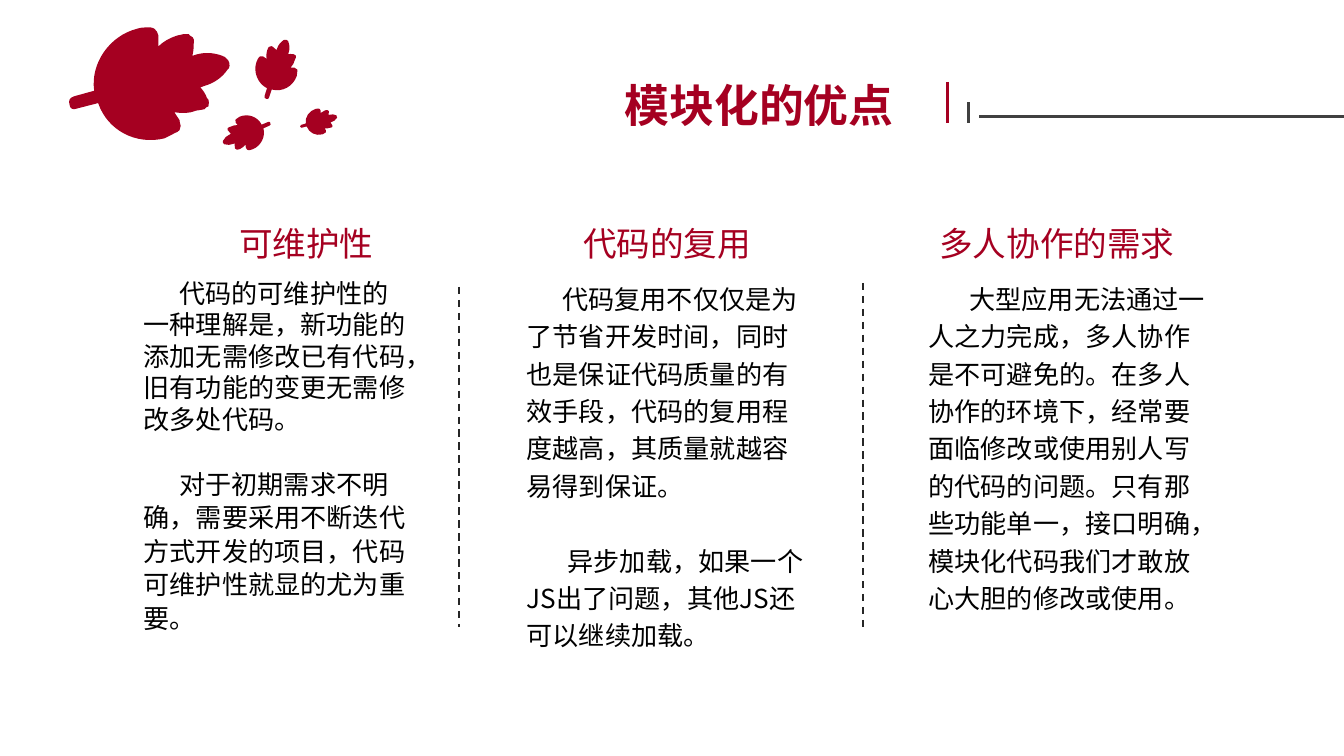
import math
from dataclasses import dataclass

import lxml.etree
import pptx
import pptx.dml.color
import pptx.enum.dml
import pptx.enum.shapes
import pptx.enum.text
import pptx.oxml.ns
import pptx.util

RED = pptx.dml.color.RGBColor(0xA5, 0x00, 0x21)
GREY = pptx.dml.color.RGBColor(0x40, 0x40, 0x40)
DARK = pptx.dml.color.RGBColor(0x26, 0x26, 0x26)
BLACK = pptx.dml.color.RGBColor(0x00, 0x00, 0x00)

FONT = "Noto Sans CJK SC"
SLIDE_WIDTH = pptx.util.Inches(10)
SLIDE_HEIGHT = SLIDE_WIDTH * 9 // 16
CELL = SLIDE_WIDTH / 100
LINE_RATIO = 1.2
BODY_SIZE = 14

LEAF_CENTRE = (113, 62)
LEAF_TILT = 30.7
LEAF_DETAIL = 1000
LEAF_START = (72, 67)
LEAF_SEGMENTS = (
    (57, 71), (54, 72, 53, 74, 54, 77), (54, 80, 57, 81, 59, 80),
    (75, 76), (82, 96, 103, 107, 124, 102), (126, 101, 128, 100, 130, 99),
    (132, 98), (133, 98, 134, 97, 135, 96), (136, 94, 136, 92, 135, 90),
    (135, 89), (133, 87, 133, 85, 131, 83), (137, 84, 142, 84, 147, 82),
    (149, 82, 151, 81, 153, 81), (154, 80), (154, 80, 155, 79, 156, 79),
    (157, 77, 156, 75, 156, 74), (155, 73), (154, 70, 152, 67, 150, 65),
    (151, 65, 152, 64, 153, 64), (160, 62, 166, 58, 170, 52),
    (170, 52, 170, 51, 171, 51), (172, 49, 171, 45, 169, 44),
    (168, 43), (162, 40, 154, 39, 147, 41), (146, 41, 145, 41, 144, 42),
    (145, 38, 145, 35, 145, 31), (145, 30), (145, 29, 144, 28, 142, 27),
    (142, 26, 141, 26, 140, 26), (139, 26), (136, 26, 135, 27, 133, 27),
    (127, 29, 123, 31, 119, 35), (119, 33, 119, 30, 119, 28),
    (119, 27), (119, 25, 117, 23, 116, 22), (115, 21, 113, 21, 112, 21),
    (111, 21, 111, 21, 110, 21), (108, 21, 106, 21, 103, 22),
    (83, 27, 69, 47, 72, 67),
)


@dataclass(frozen=True)
class Leaf:
    column: float
    row: float
    size: float
    rotation: float


@dataclass(frozen=True)
class Rule:
    start: tuple
    end: tuple
    color: pptx.dml.color.RGBColor
    weight: float = 1.5
    dashed: bool = False


@dataclass(frozen=True)
class Passage:
    text: str
    size: float = BODY_SIZE
    spacing: float = BODY_SIZE * LINE_RATIO
    color: pptx.dml.color.RGBColor = BLACK
    bold: bool = False
    indent: float = 0
    gap: float = 0


@dataclass(frozen=True)
class TextBlock:
    column: float
    row: float
    width: float
    height: float
    passages: tuple


def heading(column: float, row: float, width: float, height: float,
            text: str, size: float, bold: bool = False) -> TextBlock:
    """Describe a one-line red heading."""
    passage = Passage(text, size, size * LINE_RATIO, RED, bold)
    return TextBlock(column, row, width, height, (passage,))


LEAVES = (
    Leaf(18.9, 3.4, 3.4, 334.4),
    Leaf(22.7, 8, 2.1, 29.9),
    Leaf(16.9, 8.5, 2.8, 202.8),
    Leaf(6.8, 1.7, 9, LEAF_TILT),
)
RULES = (
    Rule((72.85, 8.7), (100, 8.7), GREY),
    Rule((72.05, 7.6), (72.05, 9.15), GREY),
    Rule((70.5, 6.1), (70.5, 9.15), RED),
    Rule((34.15, 21.35), (34.15, 46.65), DARK, 1, True),
    Rule((64.2, 21.05), (64.2, 46.65), DARK, 1, True),
)
TEXT_BLOCKS = (
    heading(45.5, 5.3, 25.7, 5, "模块化的优点", 24, True),
    heading(16.8, 16.1, 13.9, 4, "可维护性", 18),
    heading(42.4, 16.1, 16.3, 4, "代码的复用", 18),
    heading(68.9, 16.1, 19.7, 4, "多人协作的需求", 18),
    TextBlock(9.7, 20.15, 21.7, 27.8, (
        Passage("代码的可维护性的一种理解是，新功能的添加无需修改已有代码，"
                "旧有功能的变更无需修改多处代码。", indent=2.65),
        Passage("对于初期需求不明确，需要采用不断迭代方式开发的项目，"
                "代码可维护性就显的尤为重要。", spacing=18, indent=2.65, gap=16.8),
    )),
    TextBlock(38.2, 20.15, 22.8, 29.1, (
        Passage("代码复用不仅仅是为了节省开发时间，同时也是保证代码质量的有效手段，"
                "代码的复用程度越高，其质量就越容易得到保证。", spacing=20, indent=2.65),
        Passage("异步加载，如果一个JS出了问题，其他JS还可以继续加载。",
                spacing=20, indent=3.05, gap=20),
    )),
    TextBlock(68.1, 20.15, 22.8, 28.8, (
        Passage("大型应用无法通过一人之力完成，多人协作是不可避免的。在多人协作的环境下，"
                "经常要面临修改或使用别人写的代码的问题。只有那些功能单一，接口明确，"
                "模块化代码我们才敢放心大胆的修改或使用。", spacing=20, indent=3.05),
    )),
)


def cells(count: float) -> pptx.util.Emu:
    """Convert grid cells to a length."""
    return pptx.util.Emu(round(count * CELL))


def upright(x: float, y: float) -> tuple[int, int]:
    """Turn an outline point back to the leaf's untilted position."""
    angle = math.radians(-LEAF_TILT)
    across, down = x - LEAF_CENTRE[0], y - LEAF_CENTRE[1]
    return (round(LEAF_DETAIL * (across * math.cos(angle) - down * math.sin(angle))),
            round(LEAF_DETAIL * (across * math.sin(angle) + down * math.cos(angle))))


def leaf_curves() -> list[list[tuple[int, int]]]:
    """List the two controls and the end of each leaf curve."""
    full = [segment * (6 // len(segment)) for segment in LEAF_SEGMENTS]
    return [[upright(*segment[k:k + 2]) for k in (0, 2, 4)] for segment in full]


def draw_leaf(slide: pptx.slide.Slide, leaf: Leaf) -> None:
    """Draw one solid leaf of cubic curves in its rotated square."""
    curves = leaf_curves()
    anchors = [upright(*LEAF_START)] + [curve[-1] for curve in curves]
    left, top = (min(values) for values in zip(*anchors))
    builder = slide.shapes.build_freeform(*anchors[0])
    builder.add_line_segments(anchors[1:], close=True)
    shape = builder.convert_to_shape()
    lines = shape._element.spPr.findall(".//" + pptx.oxml.ns.qn("a:lnTo"))
    for line, curve in zip(lines, curves):
        bend = lxml.etree.Element(pptx.oxml.ns.qn("a:cubicBezTo"))
        for x, y in curve:
            lxml.etree.SubElement(bend, pptx.oxml.ns.qn("a:pt"),
                                  x=str(x - left), y=str(y - top))
        line.getparent().replace(line, bend)
    shape.left, shape.top = cells(leaf.column), cells(leaf.row)
    shape.width = shape.height = cells(leaf.size)
    shape.rotation = leaf.rotation
    shape.shadow.inherit = False
    shape.fill.solid()
    shape.fill.fore_color.rgb = RED
    shape.line.fill.background()


def draw_rule(slide: pptx.slide.Slide, rule: Rule) -> None:
    """Draw one straight rule."""
    connector = slide.shapes.add_connector(
        pptx.enum.shapes.MSO_CONNECTOR.STRAIGHT, *map(cells, rule.start + rule.end))
    connector.line.color.rgb = rule.color
    connector.line.width = pptx.util.Pt(rule.weight)
    if rule.dashed:
        connector.line.dash_style = pptx.enum.dml.MSO_LINE.DASH
    lxml.etree.SubElement(connector._element.spPr, pptx.oxml.ns.qn("a:effectLst"))


def draw_text(slide: pptx.slide.Slide, block: TextBlock) -> None:
    """Draw a wrapping text box with its passages."""
    shape = slide.shapes.add_textbox(
        *map(cells, (block.column, block.row, block.width, block.height)))
    text_frame = shape.text_frame
    text_frame.text = "\n".join(passage.text for passage in block.passages)
    text_frame.word_wrap = True
    text_frame.auto_size = pptx.enum.text.MSO_AUTO_SIZE.SHAPE_TO_FIT_TEXT
    for paragraph, passage in zip(text_frame.paragraphs, block.passages):
        paragraph.line_spacing = pptx.util.Pt(passage.spacing)
        paragraph.space_before = pptx.util.Pt(passage.gap)
        paragraph._p.get_or_add_pPr().set("indent", str(cells(passage.indent)))
        for run in paragraph.runs:
            run.font.name = FONT
            run.font.size = pptx.util.Pt(passage.size)
            run.font.bold = passage.bold
            run.font.color.rgb = passage.color
            properties = run._r.get_or_add_rPr()
            properties.set("lang", "zh-CN")
            lxml.etree.SubElement(properties, pptx.oxml.ns.qn("a:ea"), typeface=FONT)


def main() -> None:
    """Build and save the slide."""
    presentation = pptx.Presentation()
    presentation.slide_width = SLIDE_WIDTH
    presentation.slide_height = SLIDE_HEIGHT
    slide = presentation.slides.add_slide(presentation.slide_layouts[6])
    for leaf in LEAVES:
        draw_leaf(slide, leaf)
    for rule in RULES:
        draw_rule(slide, rule)
    for block in TEXT_BLOCKS:
        draw_text(slide, block)
    presentation.save("out.pptx")


if __name__ == "__main__":
    main()
